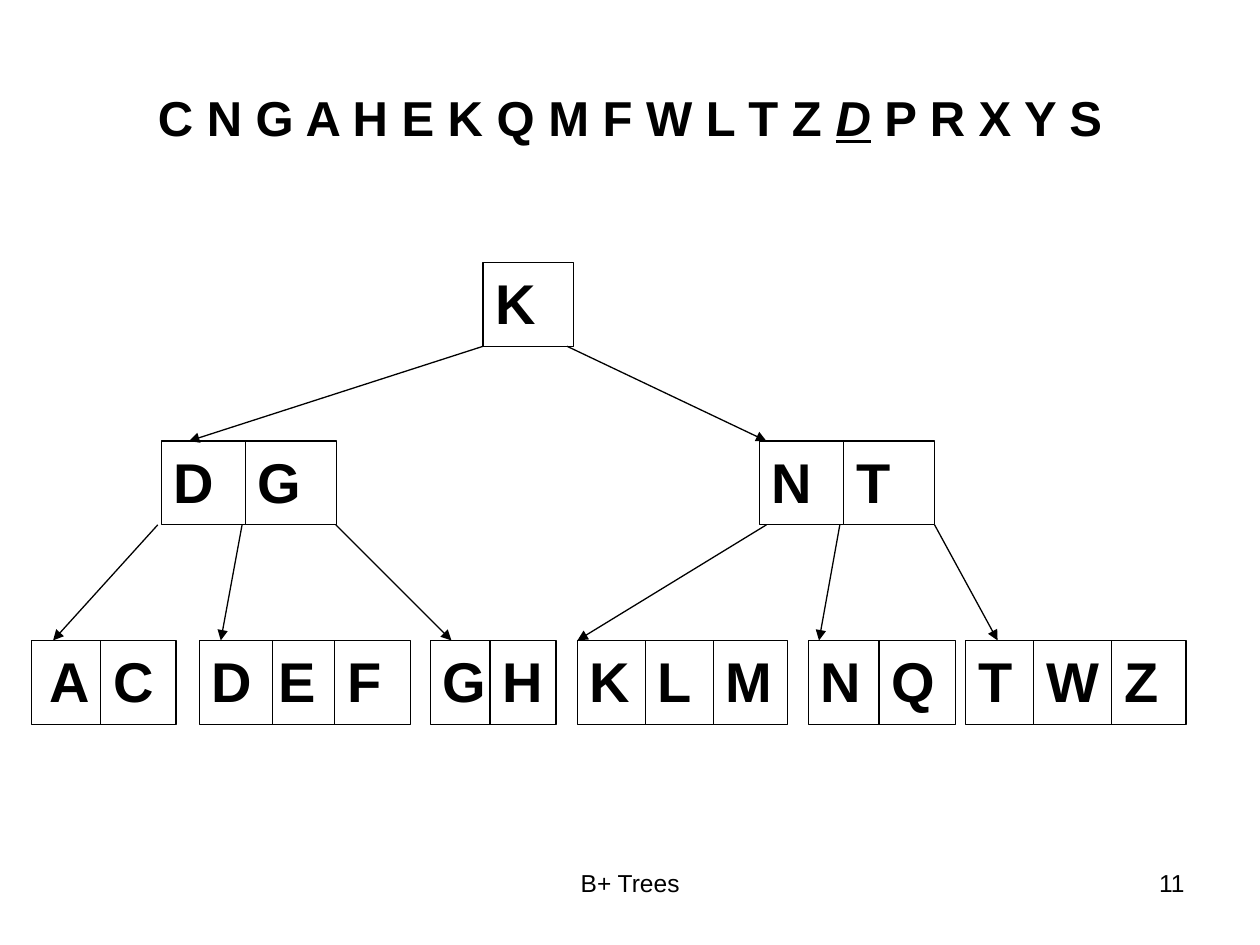
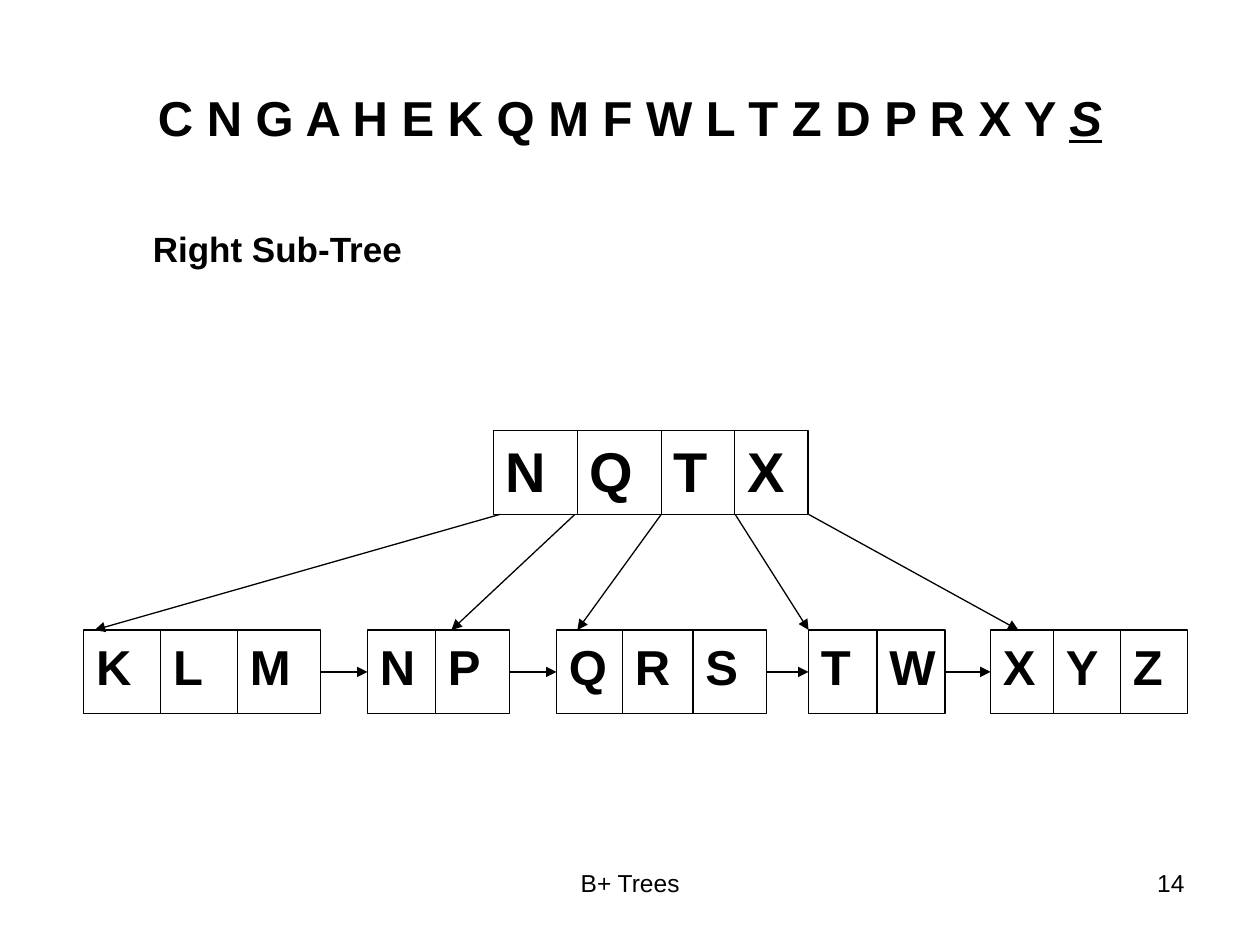
from lxml.etree import SubElement
from pptx import Presentation
from pptx.dml.color import RGBColor
from pptx.enum.shapes import MSO_CONNECTOR, MSO_SHAPE
from pptx.enum.text import MSO_ANCHOR, MSO_AUTO_SIZE, PP_ALIGN
from pptx.oxml.ns import qn
from pptx.util import Cm, Pt

COLORS = {"ink": "000000", "paper": "FFFFFF"}
FONT = "Arial"
FOOTER = "B+ Trees"
KEYS = "C N G A H E K Q M F W L T Z D P R X Y S".split()

# Lengths are in centimetres.
CELL_H = 1.69
OVERLAP = 0.13  # neighbouring cells of a node share a border
INSET_X, INSET_Y = 0.25, 0.13
TITLE_BOX = (1.27, 0.76, 22.86, 3.18)
BODY_BOX = (1.27, 4.45, 22.86, 12.57)
FOOTER_BOX = (8.68, 17.36, 8.05, 1.32)
NUMBER_BOX = (18.2, 17.36, 5.93, 1.32)

# Levels run from the root down. A node has its keys, left edge and cell widths;
# arrows are pairs of x: leaving the node, arriving at the level below.
SLIDES = [
    {
        "number": 11,
        "inserted": "D",
        "levels": [
            {"top": 5.29, "size": 32, "nodes": [
                {"keys": "K", "left": 9.74, "widths": [1.83],
                 "arrows": [(9.74, 3.81), (11.43, 15.45)]},
            ]},
            {"top": 8.89, "size": 32, "nodes": [
                {"keys": "DG", "left": 3.25, "widths": [1.83] * 2,
                 "arrows": [(3.18, 1.07), (4.88, 4.45), (6.77, 9.1)]},
                {"keys": "NT", "left": 15.31, "widths": [1.83] * 2,
                 "arrows": [(15.45, 11.64), (16.93, 16.51), (18.84, 20.11)]},
            ]},
            {"top": 12.91, "size": 32, "nodes": [
                {"keys": "AC", "left": 0.64, "widths": [1.52] * 2, "centred": "A"},
                {"keys": "DEF", "left": 4.02, "widths": [1.47, 1.52, 1.52], "front": "D"},
                {"keys": "GH", "left": 8.68, "widths": [1.33] * 2, "centred": "G"},
                {"keys": "KLM", "left": 11.64, "widths": [1.5] * 3},
                {"keys": "NQ", "left": 16.3, "widths": [1.55] * 2},
                {"keys": "TWZ", "left": 19.47, "widths": [1.5, 1.7, 1.5]},
            ]},
        ],
    },
    {
        "number": 14,
        "inserted": "S",
        "body": "Right Sub-Tree",
        "linked_leaves": True,
        "levels": [
            {"top": 8.68, "size": 32, "nodes": [
                {"keys": "NQTX", "left": 9.95, "widths": [1.82, 1.82, 1.61, 1.48],
                 "arrows": [(10.08, 1.91), (11.59, 9.1), (13.33, 11.64),
                            (14.82, 16.3), (16.3, 20.53)]},
            ]},
            {"top": 12.7, "size": 28, "nodes": [
                {"keys": "KLM", "left": 1.69, "widths": [1.68] * 3},
                {"keys": "NP", "left": 7.41, "widths": [1.5] * 2},
                {"keys": "QRS", "left": 11.22, "widths": [1.46, 1.55, 1.48]},
                {"keys": "TW", "left": 16.3, "widths": [1.51, 1.37]},
                {"keys": "XYZ", "left": 19.97, "widths": [1.4, 1.48, 1.35]},
            ]},
        ],
    },
]


def rgb(name):
    return RGBColor.from_string(COLORS[name])


def write(sp, runs, size, bold=True, align=PP_ALIGN.LEFT, anchor=MSO_ANCHOR.TOP):
    """Fill a shape with one paragraph; runs are (text, emphasised) pairs."""
    tf = sp.text_frame
    tf.word_wrap = True
    tf.auto_size = MSO_AUTO_SIZE.NONE
    tf.vertical_anchor = anchor
    tf.margin_left = tf.margin_right = Cm(INSET_X)
    tf.margin_top = tf.margin_bottom = Cm(INSET_Y)
    p = tf.paragraphs[0]
    p.alignment = align
    p.space_before = Pt(0)
    for text, emphasised in runs:
        r = p.add_run()
        r.text = text
        f = r.font
        f.name, f.size, f.bold = FONT, Pt(size), bold
        f.italic = f.underline = emphasised
        f.color.rgb = rgb("ink")
    return p


def place(sp, box):
    sp.left, sp.top, sp.width, sp.height = map(Cm, box)


def add_title(s, inserted):
    place(s.shapes.title, TITLE_BOX)
    i = KEYS.index(inserted)
    before, after = " ".join(KEYS[:i]) + " ", " ".join([""] + KEYS[i + 1:])
    runs = [(before, False), (inserted, True), (after, False)]
    write(s.shapes.title, [run for run in runs if run[0]], 28,
          align=PP_ALIGN.CENTER, anchor=MSO_ANCHOR.MIDDLE)


def add_body(s, text):
    sp = s.placeholders[1]
    place(sp, BODY_BOX)
    pPr = write(sp, [(text, False)], 20)._p.get_or_add_pPr()
    pPr.set("marL", str(Cm(1.56)))
    pPr.set("indent", "0")
    SubElement(pPr, qn("a:buNone"))


def add_footer(s, number):
    for box, text, align in ((FOOTER_BOX, FOOTER, PP_ALIGN.CENTER),
                             (NUMBER_BOX, str(number), PP_ALIGN.RIGHT)):
        sp = s.shapes.add_textbox(*map(Cm, box))
        write(sp, [(text, False)], 14, bold=False, align=align)


def add_cell(s, key, left, top, width, size, align):
    sp = s.shapes.add_shape(MSO_SHAPE.RECTANGLE, *map(Cm, (left, top, width, CELL_H)))
    sp.shadow.inherit = False
    sp.fill.solid()
    sp.fill.fore_color.rgb = rgb("paper")
    sp.line.color.rgb = rgb("ink")
    sp.line.width = Pt(0.75)
    write(sp, [(key, False)], size, align=align)
    return sp


def add_node(s, node, top, size):
    """Draw a node's cells from left to right and return them."""
    cells, left = [], node["left"]
    for key, width in zip(node["keys"], node["widths"]):
        align = PP_ALIGN.CENTER if key == node.get("centred") else PP_ALIGN.LEFT
        cells.append(add_cell(s, key, left, top, width, size, align))
        left += width - OVERLAP
    if "front" in node:
        el = cells[node["keys"].index(node["front"])]._element
        el.getparent().append(el)
    return cells


def add_arrow(s, x1=0, y1=0, x2=0, y2=0):
    c = s.shapes.add_connector(MSO_CONNECTOR.STRAIGHT, *map(Cm, (x1, y1, x2, y2)))
    c.line.color.rgb = rgb("ink")
    c.line.width = Pt(0.75)
    SubElement(c.line._get_or_add_ln(), qn("a:tailEnd"), type="triangle")
    SubElement(c._element.spPr, qn("a:effectLst"))
    return c


def add_tree(s, levels, linked_leaves):
    for level in levels:
        drawn = [add_node(s, node, level["top"], level["size"]) for node in level["nodes"]]
    for upper, lower in zip(levels, levels[1:]):
        for node in upper["nodes"]:
            for x1, x2 in node["arrows"]:
                add_arrow(s, x1, upper["top"] + CELL_H, x2, lower["top"])
    if linked_leaves:
        for leaf, following in zip(drawn, drawn[1:]):
            c = add_arrow(s)
            c.begin_connect(leaf[-1], 3)
            c.end_connect(following[0], 1)


def main():
    prs = Presentation()
    prs.slide_width, prs.slide_height = Cm(25.4), Cm(19.05)
    for content in SLIDES:
        layout = "Title and Content" if "body" in content else "Title Only"
        s = prs.slides.add_slide(prs.slide_layouts.get_by_name(layout))
        add_title(s, content["inserted"])
        if "body" in content:
            add_body(s, content["body"])
        add_tree(s, content["levels"], content.get("linked_leaves", False))
        add_footer(s, content["number"])
    prs.save("out.pptx")


if __name__ == "__main__":
    main()
